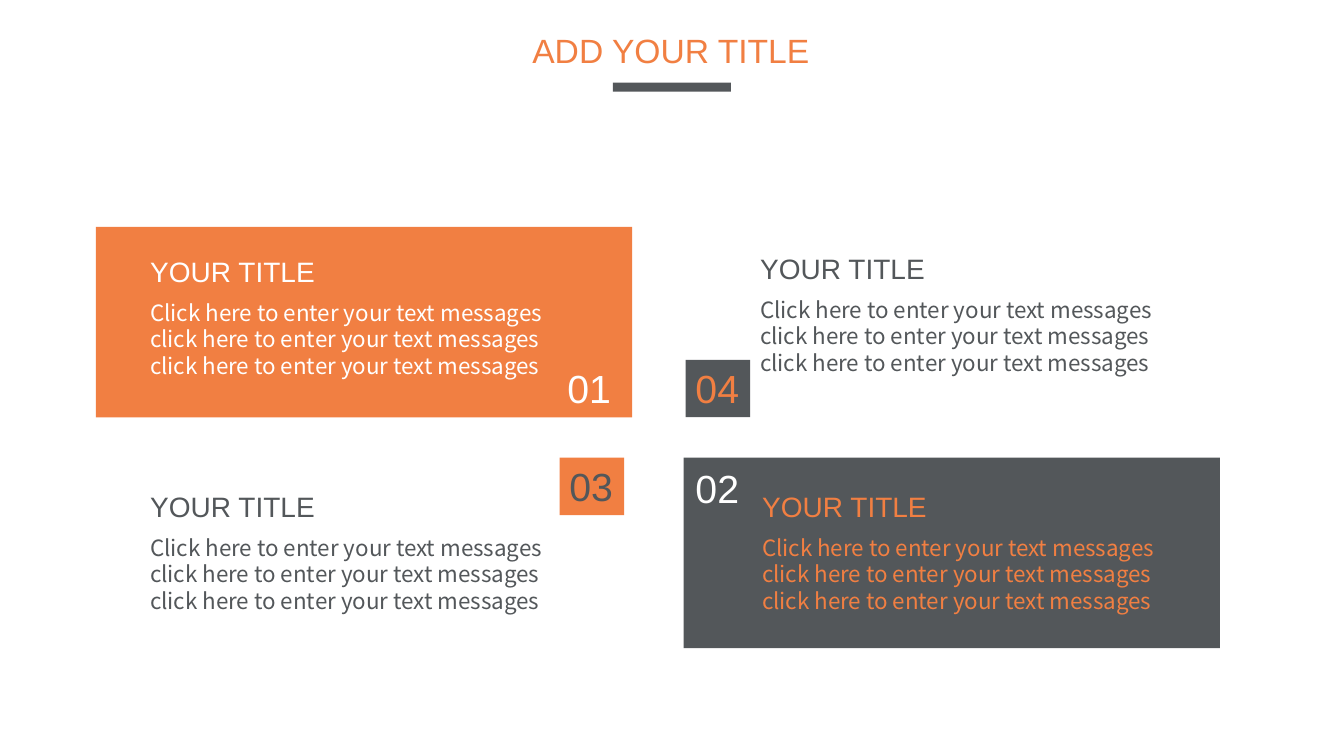
from pptx import Presentation
from pptx.dml.color import RGBColor
from pptx.enum.shapes import MSO_SHAPE
from pptx.enum.text import MSO_ANCHOR, MSO_AUTO_SIZE, PP_ALIGN
from pptx.util import Inches, Pt

RECT = MSO_SHAPE.RECTANGLE
TOP = MSO_ANCHOR.TOP
LEFT = PP_ALIGN.LEFT
FIT = MSO_AUTO_SIZE.SHAPE_TO_FIT_TEXT
HEAD = "Arial"
BODY = "Noto Sans CJK SC"
COLORS = {"orange": "F17F42", "gray": "53575A", "white": "FFFFFF"}
PROMPT = " ".join(
    ["Click here to enter your text messages"]
    + ["click here to enter your text messages"] * 2
)
CARD_W, CARD_H = 5.32, 1.89
COLS = (0.95, 6.78)
ROWS = (2.25, 4.54)
CARDS = [
    (0, 0, "orange", "white", (0.44, 0.23), "01", None, "white", (4.58, 1.32)),
    (1, 1, "gray", "orange", (0.68, 0.27), "02", None, "white", (0.02, 0.02)),
    (0, 1, None, "gray", (0.44, 0.27), "03", "orange", "gray", (4.6, 0)),
    (1, 0, None, "gray", (0.66, 0.2), "04", "gray", "orange", (0.02, 1.32)),
]


def place(x, y, w, h):
    """Turn a box in inches into lengths."""
    return Inches(x), Inches(y), Inches(w), Inches(h)


def block(slide, box, color):
    """Add a plain filled rectangle."""
    shape = slide.shapes.add_shape(RECT, *place(*box))
    shape.shadow.inherit = False
    shape.fill.solid()
    shape.fill.fore_color.rgb = RGBColor.from_string(COLORS[color])
    shape.line.fill.background()
    return shape


def write(shape, text, size, color, font=HEAD, wrap=False):
    """Fill a shape with one styled paragraph."""
    frame = shape.text_frame
    frame.text = text
    frame.word_wrap = wrap
    frame.auto_size = FIT
    frame.vertical_anchor = TOP
    para = frame.paragraphs[0]
    para.alignment = LEFT
    face = para.runs[0].font
    face.name = font
    face.size = Pt(size)
    face.color.rgb = RGBColor.from_string(COLORS[color])
    return para


def header(slide, x, y, w):
    """Place the slide title and the bar below it."""
    title = slide.shapes.title
    title.left, title.top, title.width, title.height = place(x, y, w, 0.5)
    para = write(title, "ADD YOUR TITLE", 24, "orange")
    para.line_spacing = 1.0
    block(slide, (x + 0.9, y + 0.57, 1.17, 0.09), "gray")


def card(slide, x, y, fill, ink, shift, num, tag, tint, spot):
    """Place a card with its heading, text and number."""
    if fill:
        block(slide, (x, y, CARD_W, CARD_H), fill)
    left, top = x + shift[0], y + shift[1]
    name = slide.shapes.add_textbox(*place(left, top, 1.85, 0.44))
    write(name, "YOUR TITLE", 20, ink)
    note = slide.shapes.add_textbox(*place(left, top + 0.44, 4.48, 0.91))
    para = write(note, PROMPT, 16, ink, BODY, True)
    para.line_spacing = Pt(19)
    box = (x + spot[0], y + spot[1], 0.64, 0.57)
    if tag:
        mark = block(slide, box, tag)
    else:
        mark = slide.shapes.add_textbox(*place(*box))
    write(mark, num, 28, tint)


def main():
    """Build and save the slide."""
    deck = Presentation()
    deck.slide_width = Inches(13.33)
    deck.slide_height = Inches(7.5)
    slide = deck.slides.add_slide(deck.slide_layouts[5])
    header(slide, 5.18, 0.25, 2.98)
    for col, row, *style in CARDS:
        card(slide, COLS[col], ROWS[row], *style)
    deck.save("out.pptx")


if __name__ == "__main__":
    main()
